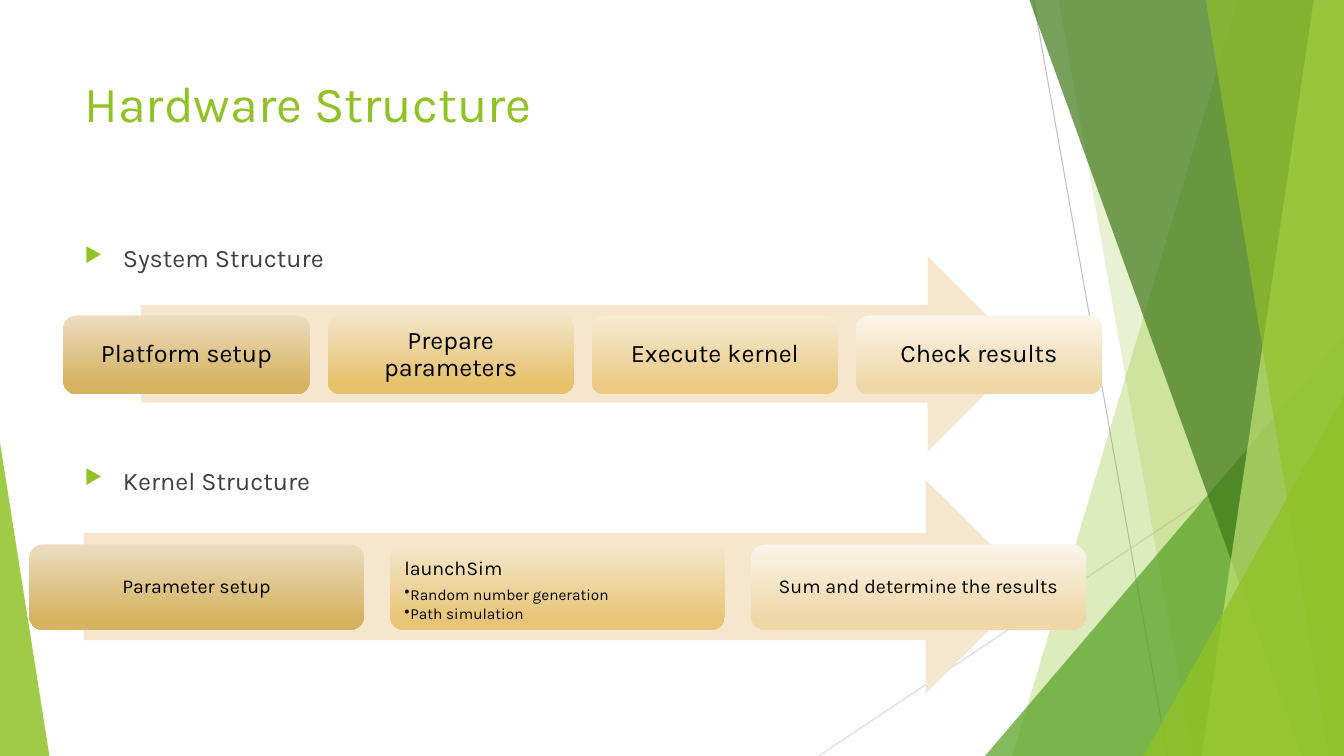
from lxml.etree import SubElement
from pptx import Presentation
from pptx.dml.color import RGBColor
from pptx.enum.shapes import MSO_CONNECTOR, MSO_SHAPE
from pptx.enum.text import MSO_ANCHOR, PP_ALIGN
from pptx.oxml.ns import qn
from pptx.util import Inches, Pt

FONT = "Karla"
WIDTH, HEIGHT = 13.33, 7.5
LIME = RGBColor(0x90, 0xC2, 0x26)
PALE_LIME = RGBColor(0xC0, 0xE4, 0x74)
GREEN = RGBColor(0x54, 0xA0, 0x21)
DARK_GREEN = RGBColor(0x3F, 0x78, 0x19)
GRAY = RGBColor(0xBF, 0xBF, 0xBF)
LIGHT_GRAY = RGBColor(0xD9, 0xD9, 0xD9)
CHARCOAL = RGBColor(0x40, 0x40, 0x40)
BLACK = RGBColor(0, 0, 0)
CREAM = RGBColor(0xF5, 0xE6, 0xCD)
BRONZE = (RGBColor(0xEC, 0xDC, 0xC0), RGBColor(0xD6, 0xB3, 0x60))
GOLD = (RGBColor(0xF4, 0xE4, 0xC8), RGBColor(0xE6, 0xC1, 0x6A))
AMBER = (RGBColor(0xF5, 0xE7, 0xCE), RGBColor(0xE8, 0xC5, 0x76))
SAND = (RGBColor(0xF7, 0xEB, 0xD5), RGBColor(0xEA, 0xCA, 0x85))
IVORY = (RGBColor(0xFB, 0xF5, 0xEA), RGBColor(0xEF, 0xD7, 0xA7))


def style_text(paragraph, size, color):
    """Set the font of every run in a paragraph."""
    for span in paragraph.runs:
        span.font.name = FONT
        span.font.size = Pt(size)
        span.font.color.rgb = color


def add_bullet(paragraph, mark, indent, color=None, percent=100):
    """Give a paragraph a bullet with a hanging indent in inches."""
    properties = paragraph._p.get_or_add_pPr()
    properties.set("marL", str(Inches(indent)))
    properties.set("indent", str(-Inches(indent)))
    if color is not None:
        tint = SubElement(properties, qn("a:buClr"))
        SubElement(tint, qn("a:srgbClr"), val=str(color))
    SubElement(properties, qn("a:buSzPct"), val=str(percent * 1000))
    SubElement(properties, qn("a:buChar"), char=mark)


deck = Presentation()
deck.slide_width, deck.slide_height = Inches(WIDTH), Inches(HEIGHT)
page = deck.slides.add_slide(deck.slide_layouts[6])

# Thin lines behind the green facets
for start_x, start_y, end_x, color in [
    (10.25, 0, 11.58, GRAY),
    (WIDTH, 4.03, 8.12, LIGHT_GRAY),
]:
    line = page.shapes.add_connector(
        MSO_CONNECTOR.STRAIGHT, Inches(start_x), Inches(start_y), Inches(end_x), Inches(HEIGHT)
    )
    line.line.color.rgb = color
    line.line.width = Pt(0.75)
    SubElement(line._element.spPr, qn("a:effectLst"))

# Facets: peak x, peak y, foot x, colour, opacity. Those peaking at the top
# edge fill up to the right side; the others are right-angled triangles.
facets = [
    (12.28, 0, 10.04, LIME, 30),
    (10.5, 0, 11.83, LIME, 20),
    (WIDTH, 3.33, 9.77, GREEN, 72),
    (10.21, 0, 12.91, DARK_GREEN, 70),
    (13.03, 0, 11.92, PALE_LIME, 70),
    (11.96, 0, 13.18, LIME, 65),
    (WIDTH, 3.93, 11.34, LIME, 80),
    (0, 4.39, 0.49, LIME, 85),
]
for peak_x, peak_y, foot_x, color, opacity in facets:
    if peak_y == 0:
        outline = page.shapes.build_freeform(Inches(peak_x), 0)
        corners = [(WIDTH, 0), (WIDTH, HEIGHT), (foot_x, HEIGHT)]
        outline.add_line_segments([(Inches(x), Inches(y)) for x, y in corners])
        facet = outline.convert_to_shape()
    else:
        facet = page.shapes.add_shape(
            MSO_SHAPE.ISOSCELES_TRIANGLE,
            Inches(min(peak_x, foot_x)), Inches(peak_y),
            Inches(abs(peak_x - foot_x)), Inches(HEIGHT - peak_y),
        )
        facet.adjustments[0] = 1 if peak_x > foot_x else 0
    facet.shadow.inherit = False
    facet.line.fill.background()
    facet.fill.solid()
    facet.fill.fore_color.rgb = color
    shade = facet._element.spPr.find(qn("a:solidFill"))[0]
    SubElement(shade, qn("a:alpha"), val=str(opacity * 1000))

title = page.shapes.add_textbox(Inches(0.74), Inches(0.67), Inches(9.4), Inches(1.44))
title.text_frame.word_wrap = True
title.text_frame.text = "Hardware Structure"
style_text(title.text_frame.paragraphs[0], 36, LIME)

headings = page.shapes.add_textbox(Inches(0.74), Inches(2.36), Inches(9.4), Inches(4.24))
headings.text_frame.word_wrap = True
headings.text_frame.text = "System Structure\nKernel Structure"
for paragraph, space in zip(headings.text_frame.paragraphs, (10, 137)):
    paragraph.space_before = Pt(space)
    add_bullet(paragraph, "▶", 0.38, LIME, 80)
    style_text(paragraph, 18, CHARCOAL)

# Processes: arrow box, first card box, distance between cards, inset, size, cards
processes = [
    ((1.4, 2.54, 8.77, 1.94), (0.63, 3.13, 2.44, 0.78), 2.62, 0.11, 18, [
        ("Platform setup", BRONZE),
        ("Prepare parameters", GOLD),
        ("Execute kernel", SAND),
        ("Check results", IVORY),
    ]),
    ((0.83, 4.76, 9.41, 2.12), (0.29, 5.4, 3.32, 0.85), 3.58, 0.1, 14, [
        ("Parameter setup", BRONZE),
        ("launchSim\nRandom number generation\nPath simulation", AMBER),
        ("Sum and determine the results", IVORY),
    ]),
]
for arrow_box, (left, top, width, height), pitch, inset, size, cards in processes:
    arrow = page.shapes.add_shape(MSO_SHAPE.RIGHT_ARROW, *map(Inches, arrow_box))
    arrow.shadow.inherit = False
    arrow.fill.solid()
    arrow.fill.fore_color.rgb = CREAM
    arrow.line.fill.background()

    for column, (words, colors) in enumerate(cards):
        card = page.shapes.add_shape(
            MSO_SHAPE.ROUNDED_RECTANGLE,
            Inches(left + column * pitch), Inches(top), Inches(width), Inches(height),
        )
        card.shadow.inherit = False
        card.line.fill.background()
        card.fill.gradient()
        card.fill.gradient_angle = 270
        for stop, position, color in zip(card.fill.gradient_stops, (0, 0.88), colors):
            stop.position = position
            stop.color.rgb = color

        frame = card.text_frame
        frame.word_wrap = True
        frame.margin_left = frame.margin_right = Inches(inset)
        frame.margin_top = frame.margin_bottom = Inches(inset)
        frame.text = words
        has_details = len(frame.paragraphs) > 1
        frame.vertical_anchor = MSO_ANCHOR.TOP if has_details else MSO_ANCHOR.MIDDLE
        for row, paragraph in enumerate(frame.paragraphs):
            paragraph.alignment = PP_ALIGN.LEFT if has_details else PP_ALIGN.CENTER
            paragraph.line_spacing = 0.9
            paragraph.space_after = Pt(2 if row else 5)
            if row:
                paragraph.level = 1
                add_bullet(paragraph, "•", 0.06)
            style_text(paragraph, 11 if row else size, BLACK)

deck.save("out.pptx")
